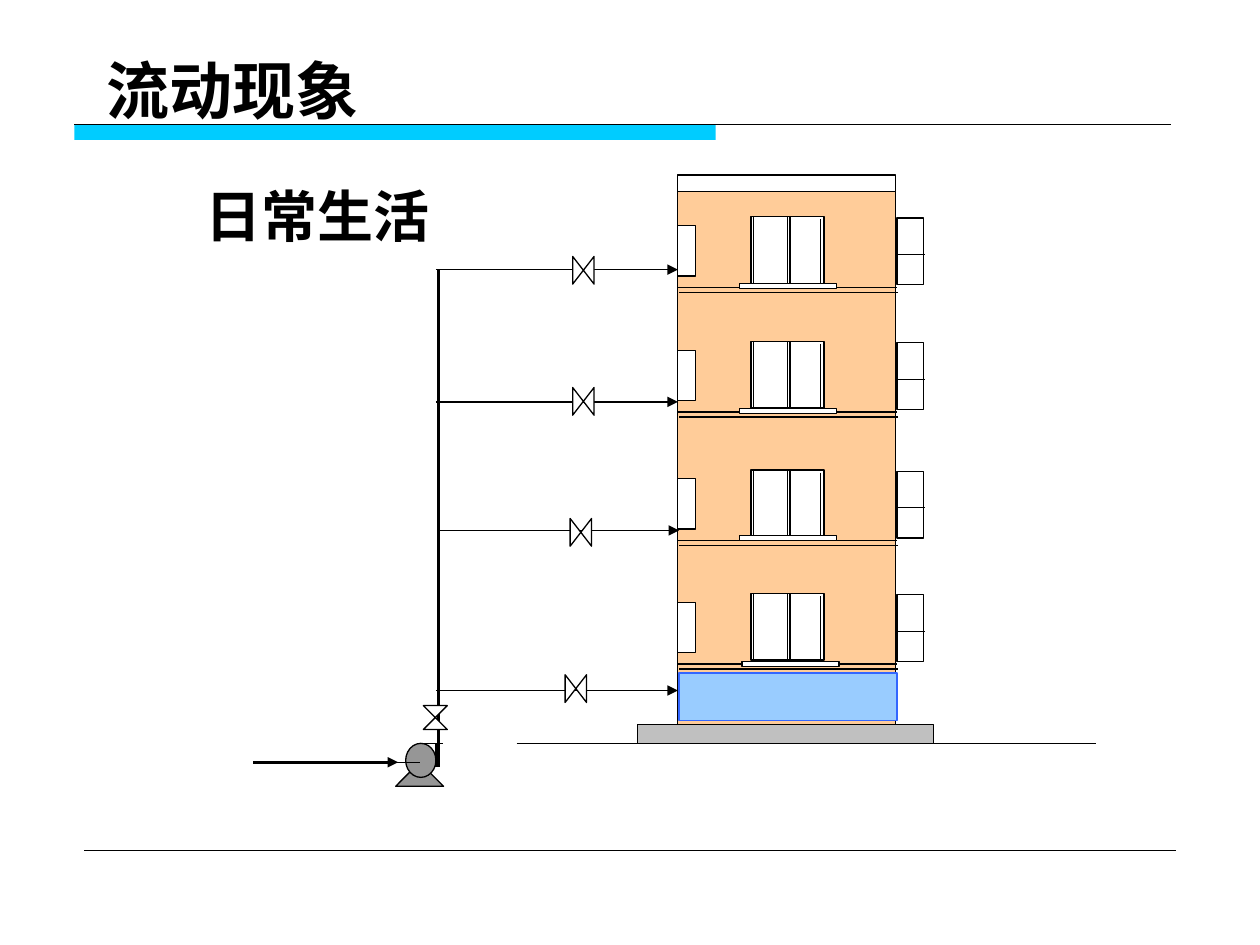
from dataclasses import dataclass

import pptx
import pptx.dml.color
import pptx.enum.shapes
import pptx.enum.text
import pptx.oxml.ns
import pptx.util
from lxml import etree

EMU_PER_PX = 9144  # 100 px to the inch
SHAPES = pptx.enum.shapes.MSO_SHAPE


@dataclass(frozen=True)
class Theme:
    font: str = "DejaVu Sans"
    title_size: int = 36
    subtitle_size: int = 32
    ink: str = "000000"
    white: str = "FFFFFF"
    accent: str = "00CCFF"
    wall: str = "FFCC99"
    base: str = "C0C0C0"
    pump: str = "969696"
    shopfront: str = "99CCFF"
    shopfront_edge: str = "3366FF"
    hairline: float = 0.25
    thin: float = 0.75
    thick: float = 1.5


THEME = Theme()


def px(value):
    return pptx.util.Emu(value * EMU_PER_PX)


def rgb(value):
    return pptx.dml.color.RGBColor.from_string(value)


def add_element(parent, tag, **attributes):
    return etree.SubElement(parent, pptx.oxml.ns.qn(tag), attributes)


def add_box(slide, left, top, width, height, fill=THEME.white, line=THEME.ink,
            kind=SHAPES.RECTANGLE, rotation=0):
    shape = slide.shapes.add_shape(kind, px(left), px(top), px(width), px(height))
    shape.shadow.inherit = False
    shape.rotation = rotation
    shape.fill.solid()
    shape.fill.fore_color.rgb = rgb(fill)
    if line is None:
        shape.line.fill.background()
    else:
        shape.line.color.rgb = rgb(line)
        shape.line.width = pptx.util.Pt(THEME.thin)


def add_line(slide, x1, y1, x2, y2, width=THEME.thin, arrow=False):
    connector = slide.shapes.add_connector(
        pptx.enum.shapes.MSO_CONNECTOR.STRAIGHT, px(x1), px(y1), px(x2), px(y2))
    connector.line.color.rgb = rgb(THEME.ink)
    connector.line.width = pptx.util.Pt(width)
    if arrow:
        add_element(connector.line._get_or_add_ln(), "a:tailEnd", type="triangle")
    add_element(connector._element.spPr, "a:effectLst")


def add_text(slide, text, left, top, width, height, *, size, bold=True, color=THEME.ink):
    box = slide.shapes.add_textbox(px(left), px(top), px(width), px(height))
    frame = box.text_frame
    frame.word_wrap = True
    frame.auto_size = pptx.enum.text.MSO_AUTO_SIZE.SHAPE_TO_FIT_TEXT
    run = frame.paragraphs[0].add_run()
    run.text = text
    run.font.size = pptx.util.Pt(size)
    run.font.bold = bold
    run.font.name = THEME.font
    run.font.color.rgb = rgb(color)
    add_element(run.font._element, "a:ea", typeface=THEME.font)


def add_rules(slide):
    add_box(slide, 59, 99, 509, 12, fill=THEME.accent, line=None)
    add_line(slide, 59, 99, 929, 99)
    add_line(slide, 67, 675, 933, 675, width=THEME.hairline)


def add_floor(slide, top):
    """Draw one storey; top is the upper edge of its window."""
    add_box(slide, 538, top + 7, 14, 40)
    add_box(slide, 596, top, 58, 53)
    for x, drop in ((598, 0), (625, 0), (627, 0), (651, 2)):
        add_line(slide, x, top + drop, x, top + drop + 53)
    add_line(slide, 538, top + 56, 712, top + 56)
    add_line(slide, 539, top + 60, 713, top + 60)
    add_box(slide, 712, top + 1, 21, 53)
    add_line(slide, 712, top + 30, 734, top + 30)


def add_building(slide):
    add_line(slide, 410, 590, 870, 590)
    add_box(slide, 538, 139, 173, 438, fill=THEME.wall)
    for top in (172, 271, 373, 471):
        add_floor(slide, top)
    add_line(slide, 538, 569, 712, 569)
    add_box(slide, 506, 575, 235, 15, fill=THEME.base)
    add_box(slide, 538, 139, 173, 13)
    add_box(slide, 539, 534, 173, 38, fill=THEME.shopfront, line=THEME.shopfront_edge)
    for left, top in ((587, 225), (587, 324), (587, 425), (589, 525)):
        add_box(slide, left, top, 77, 4)


def add_pump(slide):
    add_box(slide, 314, 605, 38, 19, fill=THEME.pump, kind=SHAPES.ISOSCELES_TRIANGLE)
    add_box(slide, 322, 590, 24, 27, fill=THEME.pump, kind=SHAPES.OVAL)
    add_line(slide, 346, 590, 346, 609)
    add_line(slide, 333, 590, 352, 590)
    add_line(slide, 314, 605, 333, 605)
    add_line(slide, 201, 605, 316, 605, width=THEME.thick, arrow=True)


def add_pipes(slide):
    add_line(slide, 348, 214, 348, 609, width=THEME.thick)
    add_box(slide, 336, 560, 19, 19, kind=SHAPES.FLOWCHART_COLLATE)
    branches = (  # pipe start, pipe end, pipe height, valve left, valve top
        (346, 538, 214, 452, 206),
        (346, 538, 319, 452, 310),
        (348, 539, 421, 450, 414),
        (346, 538, 548, 446, 538),
    )
    for start, end, y, valve_left, valve_top in branches:
        add_line(slide, start, y, end, y, arrow=True)
        add_box(slide, valve_left, valve_top, 22, 17,
                kind=SHAPES.FLOWCHART_COLLATE, rotation=90)


def main():
    presentation = pptx.Presentation()
    presentation.slide_width, presentation.slide_height = px(1000), px(750)
    slide = presentation.slides.add_slide(presentation.slide_layouts[6])
    add_rules(slide)
    add_building(slide)
    add_pump(slide)
    add_pipes(slide)
    add_text(slide, "流动现象", 75, 36, 425, 70, size=THEME.title_size)
    add_text(slide, "日常生活", 153, 139, 276, 64, size=THEME.subtitle_size)
    presentation.save("out.pptx")


if __name__ == "__main__":
    main()
